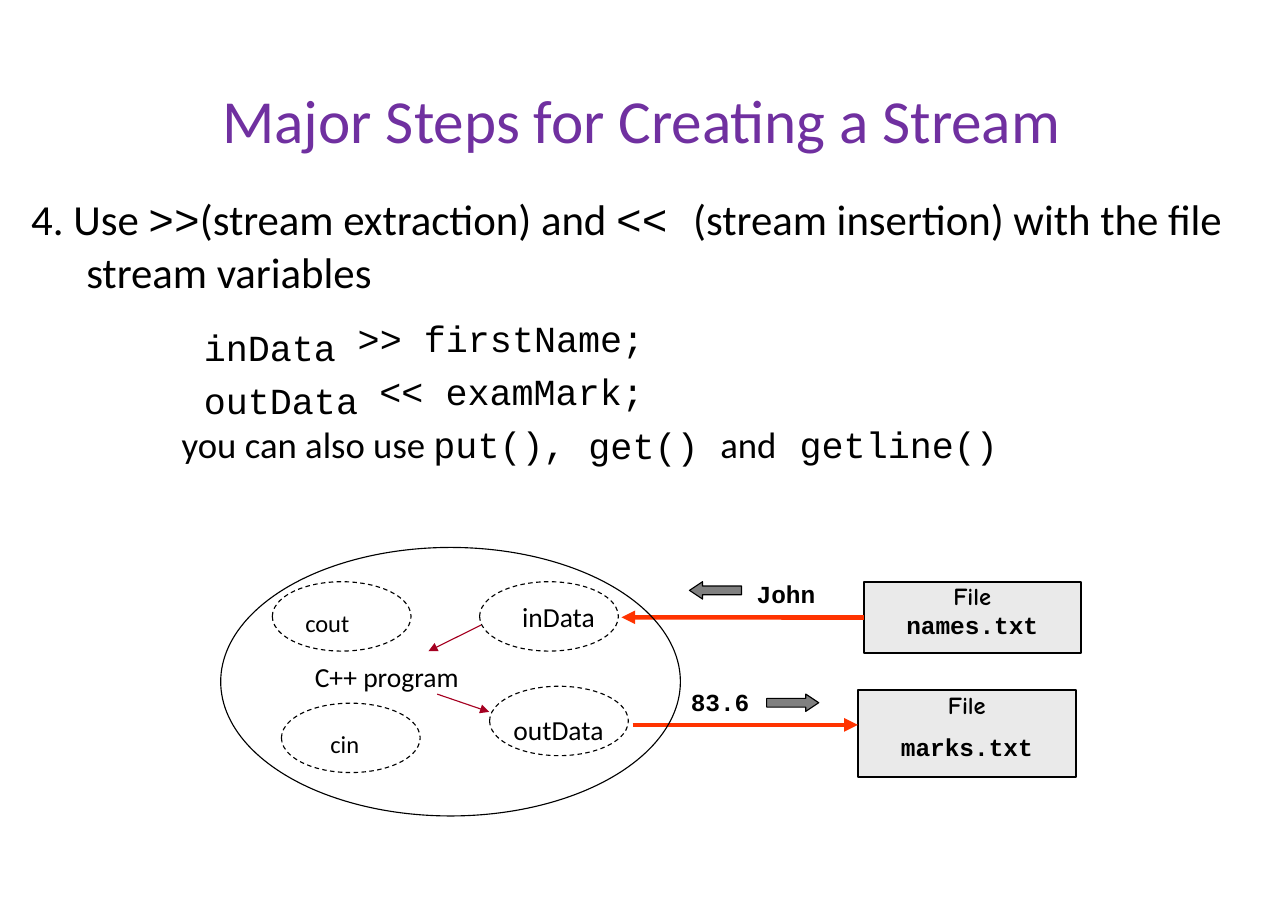
import pptx
import pptx.dml.color
import pptx.enum.dml
import pptx.enum.shapes
import pptx.enum.text
import pptx.oxml.ns
import pptx.util
from lxml import etree

Cm, Pt = pptx.util.Cm, pptx.util.Pt
qn = pptx.oxml.ns.qn
MSO = pptx.enum.shapes.MSO_SHAPE
PP_ALIGN = pptx.enum.text.PP_ALIGN

COLORS = {"title": "7030A0", "ink": "000000", "file": "EAEAEA",
          "flow": "FF3300", "block": "808080", "call": "A50021"}
MONO = "Courier New"
COMIC = "Comic Neue"


def rgb(name):
    return pptx.dml.color.RGBColor.from_string(COLORS[name])


def add_run(p, text, size=24, font="Calibri", color="ink", bold=False):
    r = p.add_run()
    r.text = text
    r.font.size = Pt(size)
    r.font.name = font
    r.font.bold = bold
    r.font.color.rgb = rgb(color)


class StreamSlide:
    """Holds the slide and draws each kind of element in its style."""

    def __init__(self, prs):
        self.s = prs.slides.add_slide(prs.slide_layouts[5])

    def fill_text(self, tf, paras, align=PP_ALIGN.LEFT, spacing=1.0, before=0, **fmt):
        tf.word_wrap = True
        tf.auto_size = pptx.enum.text.MSO_AUTO_SIZE.NONE
        tf.vertical_anchor = pptx.enum.text.MSO_ANCHOR.TOP
        tf.margin_left = tf.margin_right = tf.margin_top = tf.margin_bottom = 0
        for i, runs in enumerate(paras):
            p = tf.add_paragraph() if i else tf.paragraphs[0]
            p.alignment = align
            p.line_spacing = spacing
            p.space_before = Pt(before if i else 0)
            for text, own in runs:
                add_run(p, text, **{**fmt, **own})

    def place(self, sp, x, y, w, h):
        sp.left, sp.top, sp.width, sp.height = Cm(x), Cm(y), Cm(w), Cm(h)

    def title(self, text, *box):
        sp = self.s.shapes.title
        self.place(sp, *box)
        self.fill_text(sp.text_frame, [[(text, {})]], size=40, color="title")
        sp.text_frame.margin_top = Cm(0.15)

    def text(self, box, *paras, **fmt):
        sp = self.s.shapes.add_textbox(*map(Cm, box))
        self.fill_text(sp.text_frame, paras, **fmt)
        return sp.text_frame.paragraphs

    def label(self, text, x, y, w, **fmt):
        self.text((x, y, w, 0.7), [(text, {})], **fmt)

    def shape(self, kind, box, fill=None, width=0.75, dash=False):
        sp = self.s.shapes.add_shape(kind, *map(Cm, box))
        sp.shadow.inherit = False
        if fill:
            sp.fill.solid()
            sp.fill.fore_color.rgb = rgb(fill)
        else:
            sp.fill.background()
        sp.line.color.rgb = rgb("ink")
        sp.line.width = Pt(width)
        if dash:
            sp.line.dash_style = pptx.enum.dml.MSO_LINE.DASH
        return sp

    def file_box(self, name, box, **fmt):
        sp = self.shape(MSO.RECTANGLE, box, "file", 1.25)
        self.fill_text(sp.text_frame, [[("File", {"font": COMIC})], [(name, {})]],
                       align=PP_ALIGN.CENTER, size=16, font=MONO, bold=True, **fmt)
        return sp

    def block_arrow(self, kind, x, y):
        sp = self.shape(kind, (x, y, 1.2, 0.4), "block")
        sp.adjustments[0], sp.adjustments[1] = 0.5, 0.75

    def arrow(self, start, end, color, width):
        c = self.s.shapes.add_connector(
            pptx.enum.shapes.MSO_CONNECTOR.STRAIGHT, *map(Cm, start + end))
        c.line.color.rgb = rgb(color)
        c.line.width = Pt(width)
        etree.SubElement(c.get_or_add_ln(), qn("a:tailEnd"), type="triangle")
        etree.SubElement(c._element.spPr, qn("a:effectLst"))
        return c


def set_indent(p, left, first=0):
    pPr = p._p.get_or_add_pPr()
    pPr.set("marL", str(Cm(left)))
    pPr.set("indent", str(Cm(first)))


def add_tab(p, pos):
    tabs = etree.SubElement(p._p.get_or_add_pPr(), qn("a:tabLst"))
    etree.SubElement(tabs, qn("a:tab"), pos=str(Cm(pos)), algn="l")


def main():
    prs = pptx.Presentation()
    prs.slide_width, prs.slide_height = Cm(29.7), Cm(21)
    s = StreamSlide(prs)
    mono = {"font": MONO}

    s.title("Major Steps for Creating a Stream", 5.13, 1.75, 19.8, 1.86)
    step = s.text((0.69, 4.42, 29, 2.39),
                  [("4. Use ", {}), (">>", mono), ("(stream extraction) and ", {}),
                   ("<< ", mono),
                   ("(stream insertion) with the file stream variables", {})],
                  size=28, spacing=1.02)
    set_indent(step[0], 1.3, -1.27)

    s.text((4.7, 7.29, 3.7, 2.13), [("inData", {})], [("outData", {})],
           font=MONO, spacing=1.2)
    code = s.text((8.25, 7.29, 6.9, 2.13), [(">> firstName;", {})],
                  [("<< examMark;", {})], font=MONO, before=5.7)
    set_indent(code[1], 0.5)
    s.text((4.19, 9.73, 9.2, 0.94), [("you can also use ", {}), ("put(),", mono)])
    s.text((13.57, 9.75, 2.9, 0.94), [("get()", mono)])
    also = s.text((16.61, 9.73, 6.8, 0.94), [("and\t", {}), ("getline()", mono)])
    add_tab(also[0], 1.83)

    names = s.file_box("names.txt", (19.92, 13.41, 5, 1.65), spacing=Pt(18.8))
    s.file_box("marks.txt", (19.78, 15.9, 5.03, 2.01), before=8.7)
    inflow = s.arrow((19.92, 14.23), (14.33, 14.23), "flow", 3)
    inflow.begin_connect(names, 1)
    s.arrow((14.59, 16.71), (19.78, 16.71), "flow", 3)
    for text, x, y in (("John", 17.45, 13.36), ("83.6", 15.93, 15.83)):
        s.label(text, x, y, 1.7, size=16, font=MONO, bold=True)
    s.block_arrow(MSO.RIGHT_ARROW, 17.68, 16)
    s.block_arrow(MSO.LEFT_ARROW, 15.9, 13.41)

    s.shape(MSO.OVAL, (5.09, 12.62, 10.6, 6.19))
    for x, y in ((6.28, 13.41), (11.06, 13.41), (6.49, 16.21), (11.29, 15.82)):
        s.shape(MSO.OVAL, (x, y, 3.2, 1.6), dash=True)
    for text, x, y, w, size in (("C++ program", 7.26, 15.21, 3.7, 18),
                                ("inData", 12.04, 13.82, 2, 18),
                                ("outData", 11.84, 16.43, 2.4, 18),
                                ("cout", 7.04, 14.02, 1.4, 16),
                                ("cin", 7.62, 16.81, 1, 16)):
        s.label(text, x, y, w, size=size)
    s.arrow((11.09, 14.41), (9.88, 15.01), "call", 0.75)
    s.arrow((10.08, 16), (11.28, 16.41), "call", 0.75)
    prs.save("out.pptx")


if __name__ == "__main__":
    main()
